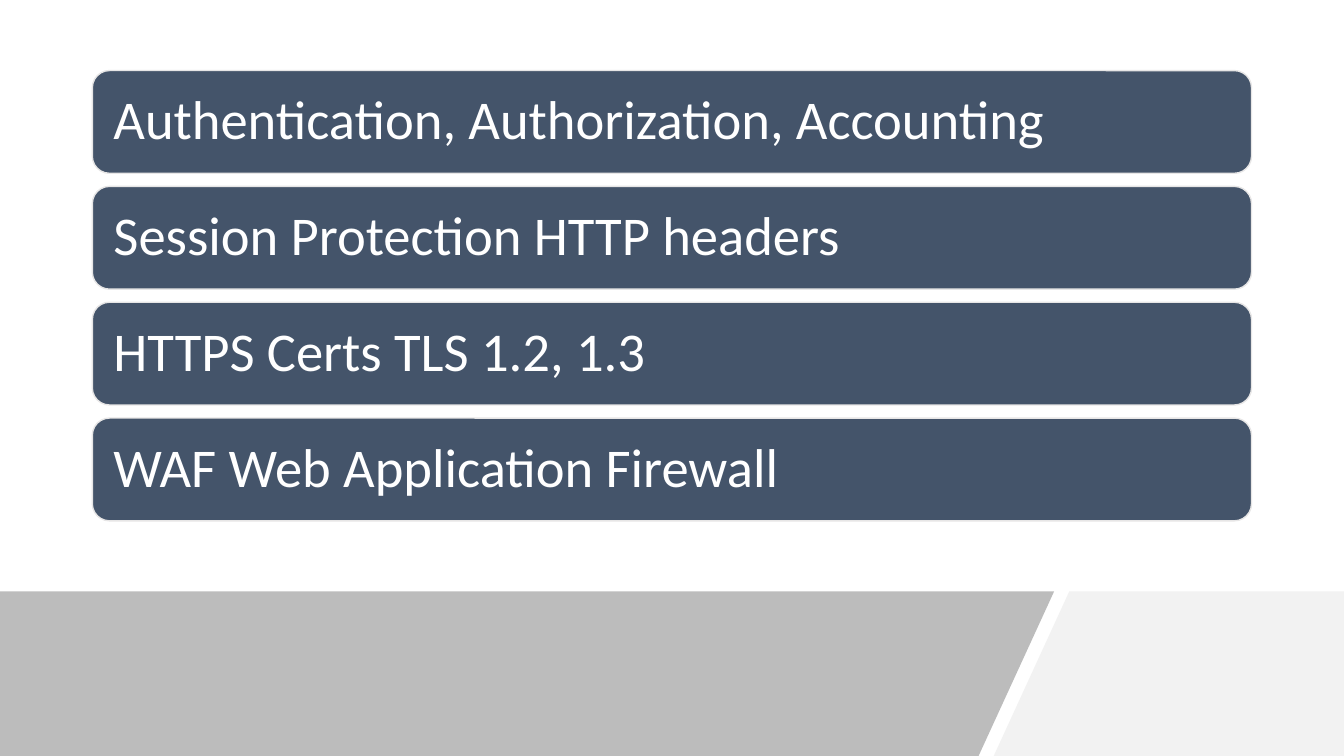
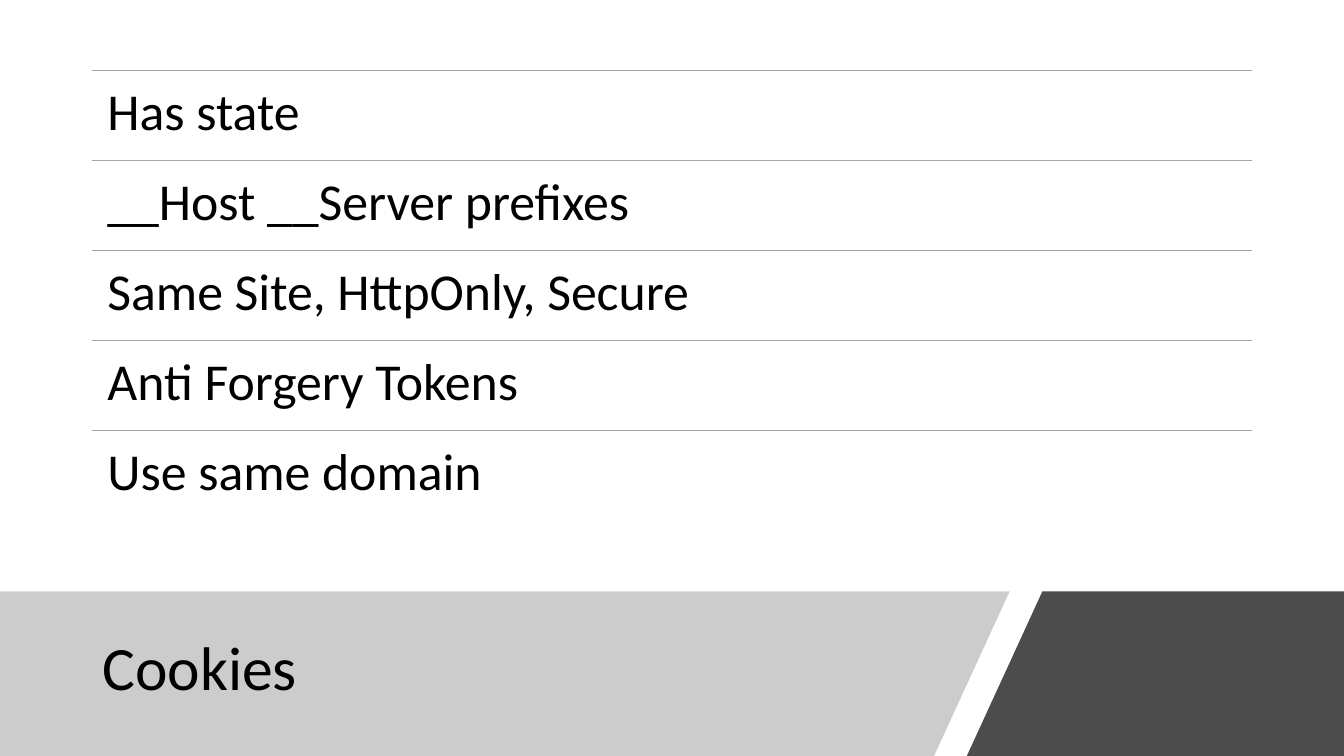
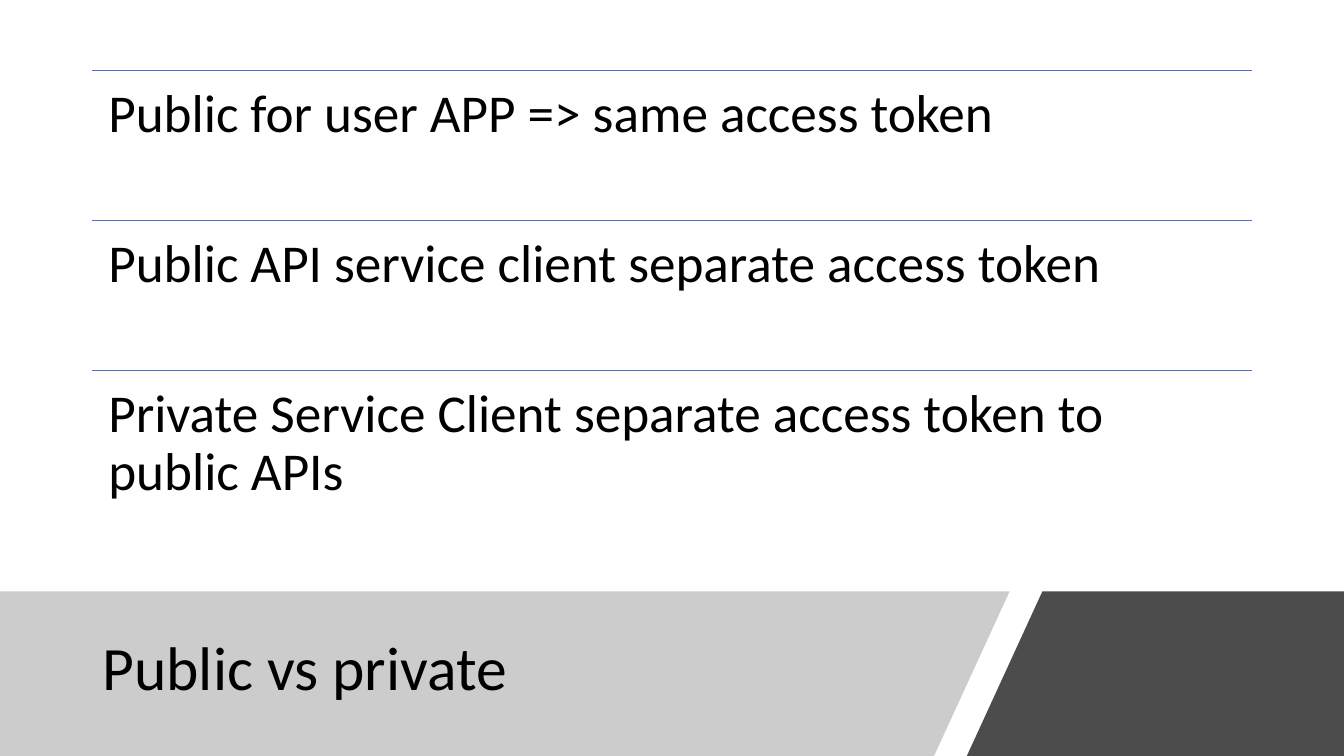
from pptx import Presentation
from pptx.dml.color import RGBColor
from pptx.enum.shapes import MSO_CONNECTOR, MSO_SHAPE
from pptx.enum.text import MSO_ANCHOR, MSO_AUTO_SIZE, PP_ALIGN
from pptx.oxml.ns import qn
from pptx.oxml.xmlchemy import OxmlElement
from pptx.util import Inches, Pt

ROUND = MSO_SHAPE.ROUNDED_RECTANGLE
LINE = MSO_CONNECTOR.STRAIGHT
MID, TOP = MSO_ANCHOR.MIDDLE, MSO_ANCHOR.TOP
LEFT = PP_ALIGN.LEFT
FIXED = MSO_AUTO_SIZE.NONE
TITLED, BLANK = 5, 6

COLS, ROWS = 160, 90


def unit(n):
    return Inches(n / 12)


def color(code):
    return RGBColor.from_string(code)


class Deck:
    font = "Calibri"
    black, white = "000000", "FFFFFF"
    left, wide = 11, 138
    top, tall = 8.4, 53.6
    base, slant = 70.4, 9

    def __init__(self):
        self.prs = Presentation()
        self.prs.slide_width = unit(COLS)
        self.prs.slide_height = unit(ROWS)
        self.page = None

    def begin(self, layout):
        self.page = self.prs.slides.add_slide(self.prs.slide_layouts[layout])

    def label(self, shape, text, size, ink, anchor, pad):
        frame = shape.text_frame
        frame.word_wrap = True
        frame.auto_size = FIXED
        frame.vertical_anchor = anchor
        frame.margin_left = frame.margin_right = unit(pad)
        frame.margin_top = frame.margin_bottom = unit(pad)
        frame.text = text
        para = frame.paragraphs[0]
        para.alignment = LEFT
        para.line_spacing = 0.9
        para.font.name = self.font
        para.font.size = Pt(size)
        para.font.color.rgb = color(ink)

    def panel(self, points, fill, alpha=100):
        spots = [(unit(x), unit(y)) for x, y in points]
        pen = self.page.shapes.build_freeform(*spots[0])
        pen.add_line_segments(spots[1:], close=True)
        shape = pen.convert_to_shape()
        shape.shadow.inherit = False
        shape.line.fill.background()
        shape.fill.solid()
        shape.fill.fore_color.rgb = color(fill)
        if alpha < 100:
            node = OxmlElement("a:alpha")
            node.set("val", str(alpha * 1000))
            next(shape.element.iter(qn("a:srgbClr"))).append(node)

    def left_band(self, edge, fill):
        self.panel([(0, self.base), (edge, self.base),
                    (edge - self.slant, ROWS), (0, ROWS)], fill, 40)

    def right_band(self, edge, fill, alpha=100):
        self.panel([(edge, self.base), (COLS, self.base),
                    (COLS, ROWS), (edge - self.slant, ROWS)], fill, alpha)

    def title(self, text):
        head = self.page.shapes.title
        head.left, head.top = unit(self.left), unit(72.6)
        head.width, head.height = unit(101.3), unit(14.4)
        self.label(head, text, 44, self.black, MID, 1.2)
        head.element.getparent().append(head.element)

    def rule(self, y, ink):
        line = self.page.shapes.add_connector(
            LINE, unit(self.left), unit(y), unit(self.left + self.wide), unit(y))
        line.line.color.rgb = color(ink)
        line.line.width = Pt(1)
        line.element.spPr.append(OxmlElement("a:effectLst"))

    def bars(self, items, gap=1.56):
        step = (self.tall + gap) / len(items)
        for i, text in enumerate(items):
            bar = self.page.shapes.add_shape(
                ROUND, unit(self.left), unit(self.top + i * step),
                unit(self.wide), unit(step - gap))
            bar.shadow.inherit = False
            bar.fill.solid()
            bar.fill.fore_color.rgb = color("44546A")
            bar.line.color.rgb = color("E7E6E6")
            bar.line.width = Pt(1)
            self.label(bar, text, 39, self.white, MID, 1.92)

    def ruled(self, items, size, ink, pad):
        step = self.tall / len(items)
        for i, text in enumerate(items):
            y = self.top + i * step
            self.rule(y, ink)
            box = self.page.shapes.add_textbox(
                unit(self.left), unit(y), unit(self.wide), unit(step))
            self.label(box, text, size, self.black, TOP, pad)

    def topic(self, name, items, size, ink, pad):
        self.begin(TITLED)
        self.left_band(120.2, "808080")
        self.title(name)
        self.right_band(124.1, self.black, 70)
        self.ruled(items, size, ink, pad)


deck = Deck()

deck.begin(BLANK)
deck.right_band(127.3, "F2F2F2")
deck.left_band(125.5, "595959")
deck.bars([
    "Authentication, Authorization, Accounting",
    "Session Protection HTTP headers",
    "HTTPS Certs TLS 1.2, 1.3",
    "WAF Web Application Firewall",
])

deck.topic("Cookies", [
    "Has state",
    "__Host __Server prefixes",
    "Same Site, HttpOnly, Secure",
    "Anti Forgery Tokens",
    "Use same domain",
], 37, "A5A5A5", 1.8)

deck.topic("Public vs private", [
    "Public for user APP => same access token",
    "Public API service client separate access token",
    "Private Service Client separate access token to public APIs",
], 38, "4472C4", 1.9)

deck.prs.save("out.pptx")
